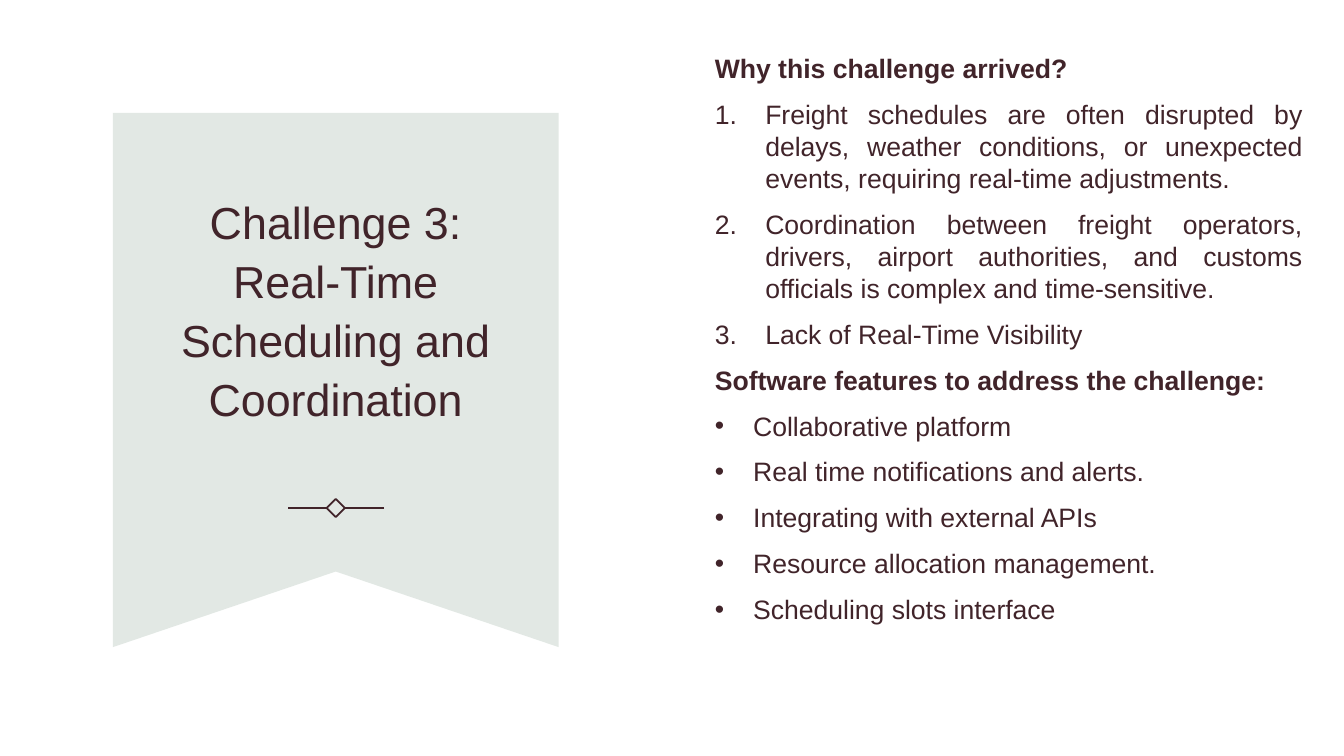
from lxml.etree import SubElement
from pptx import Presentation
from pptx.dml.color import RGBColor
from pptx.enum.shapes import MSO_CONNECTOR, MSO_SHAPE
from pptx.enum.text import MSO_ANCHOR, MSO_AUTO_SIZE, PP_ALIGN
from pptx.oxml.ns import qn
from pptx.util import Inches, Pt

COLORS = {"ribbon": "E2E8E4", "ink": "41242A", "background": "FFFFFF"}
FONT = "Arial"
INK = RGBColor.from_string(COLORS["ink"])

# Marker tag, its attributes and the hanging indent for each kind of line
MARKERS = {
    "heading": ("a:buNone", {}, 0),
    "number": ("a:buAutoNum", {"type": "arabicPeriod"}, 0.5),
    "bullet": ("a:buChar", {"char": "•"}, 0.38),
}
CONTENT = [
    ("heading", "Why this challenge arrived?"),
    ("number", "Freight schedules are often disrupted by delays, weather conditions, "
               "or unexpected events, requiring real-time adjustments."),
    ("number", "Coordination between freight operators, drivers, airport authorities, "
               "and customs officials is complex and time-sensitive."),
    ("number", "Lack of Real-Time Visibility"),
    ("heading", "Software features to address the challenge:"),
    ("bullet", "Collaborative platform"),
    ("bullet", "Real time notifications and alerts."),
    ("bullet", "Integrating with external APIs"),
    ("bullet", "Resource allocation management."),
    ("bullet", "Scheduling slots interface"),
]


def place(placeholder, left, top, width, height):
    placeholder.left, placeholder.top = Inches(left), Inches(top)
    placeholder.width, placeholder.height = Inches(width), Inches(height)
    frame = placeholder.text_frame
    frame.word_wrap = True
    frame.auto_size = MSO_AUTO_SIZE.NONE
    frame.vertical_anchor = MSO_ANCHOR.MIDDLE
    return frame


def set_font(paragraph, size, bold=False):
    font = paragraph.font
    font.name, font.size, font.bold = FONT, Pt(size), bold
    font.color.rgb = INK


prs = Presentation()
prs.slide_width, prs.slide_height = Inches(13.33), Inches(7.5)
slide = prs.slides.add_slide(prs.slide_layouts[1])
slide.background.fill.solid()
slide.background.fill.fore_color.rgb = RGBColor.from_string(COLORS["background"])

# Title
heading = place(slide.shapes.title, 1.15, 1.48, 4.36, 3.14)
heading.text = "Challenge 3:\vReal-Time Scheduling and Coordination"
heading_line = heading.paragraphs[0]
heading_line.alignment = PP_ALIGN.CENTER
heading_line.line_spacing = 1.1
set_font(heading_line, 32)

# Causes and software features
details = place(slide.placeholders[1], 6.99, 0.01, 6.03, 6.7)
for index, (kind, text) in enumerate(CONTENT):
    line = details.add_paragraph() if index else details.paragraphs[0]
    line.text = text
    line.alignment = PP_ALIGN.JUSTIFY
    line.line_spacing = 1.0
    line.space_before = Pt(10)
    tag, attributes, indent = MARKERS[kind]
    properties = line._p.get_or_add_pPr()
    properties.set("marL", str(Inches(indent)))
    properties.set("indent", str(-Inches(indent)))
    if indent:
        SubElement(properties, qn("a:buFont"), typeface=FONT)
    SubElement(properties, qn(tag), **attributes)
    set_font(line, 19, bold=kind == "heading")

# Ribbon with a notched foot, behind the title
builder = slide.shapes.build_freeform(Inches(1.12), Inches(1.12))
builder.add_line_segments(
    [(Inches(x), Inches(y)) for x, y in [(5.54, 1.12), (5.54, 6.42), (3.33, 5.67), (1.12, 6.42)]],
    close=True)
ribbon = builder.convert_to_shape()
ribbon.shadow.inherit = False
ribbon.fill.solid()
ribbon.fill.fore_color.rgb = RGBColor.from_string(COLORS["ribbon"])
ribbon.line.fill.background()
slide.shapes.title._element.addprevious(ribbon._element)

# Diamond ornament with a line on each side
diamond = slide.shapes.add_shape(
    MSO_SHAPE.DIAMOND, Inches(3.24), Inches(4.95), Inches(0.18), Inches(0.18))
diamond.shadow.inherit = False
diamond.fill.background()
diamond.line.color.rgb = INK
diamond.line.width = Pt(1.25)
for outer_x, side in [(2.86, 1), (3.81, 3)]:
    arm = slide.shapes.add_connector(
        MSO_CONNECTOR.STRAIGHT, Inches(outer_x), Inches(5.04), Inches(3.33), Inches(5.04))
    arm.end_connect(diamond, side)
    arm.line.color.rgb = INK
    arm.line.width = Pt(1.25)
    SubElement(arm._element.spPr, qn("a:effectLst"))

prs.save("out.pptx")
